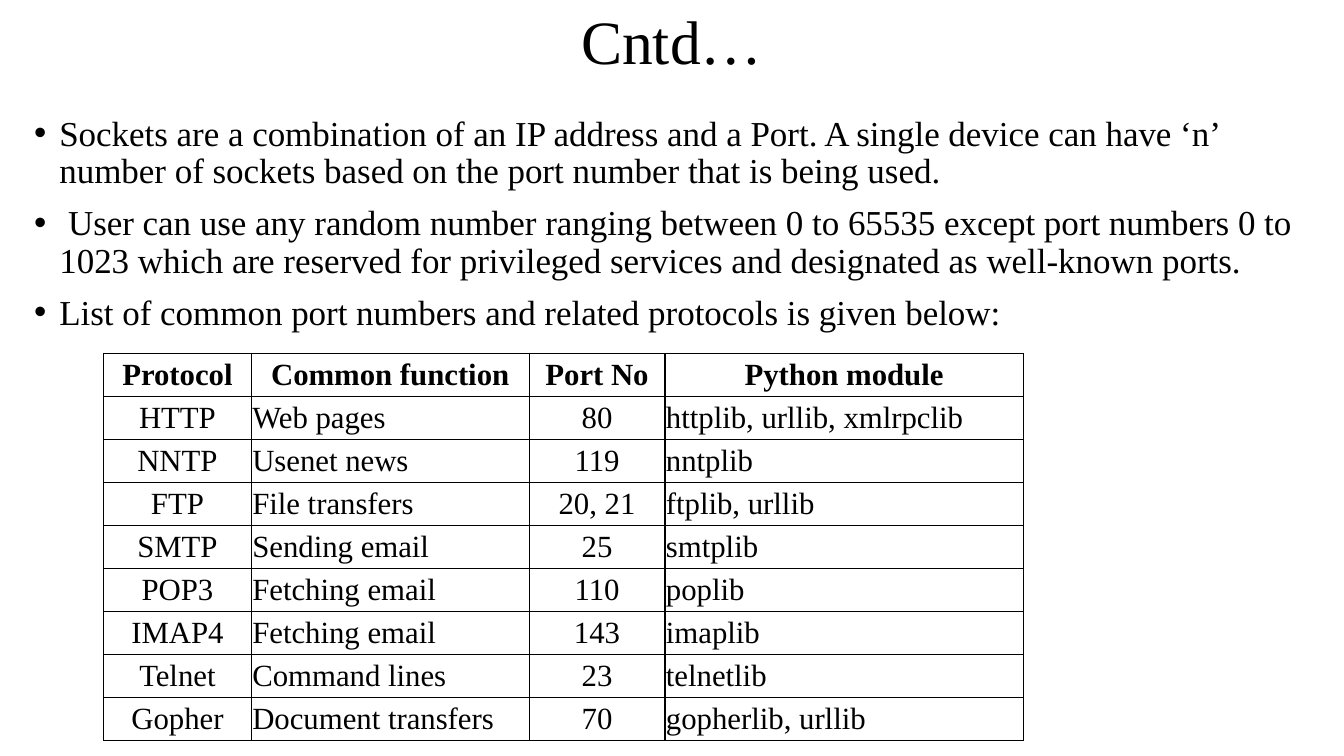
from lxml import etree
from pptx import Presentation
from pptx.dml.color import RGBColor
from pptx.enum.text import MSO_ANCHOR, MSO_AUTO_SIZE, PP_ALIGN
from pptx.oxml.ns import qn
from pptx.util import Pt

LEFT, CENTER = PP_ALIGN.LEFT, PP_ALIGN.CENTER
TOP, MIDDLE = MSO_ANCHOR.TOP, MSO_ANCHOR.MIDDLE
NO_FIT = MSO_AUTO_SIZE.NONE
FONT, BLACK, WHITE = "Times New Roman", "000000", "FFFFFF"
BORDERS = ("a:lnL", "a:lnR", "a:lnT", "a:lnB")

BULLETS = [
    "Sockets are a combination of an IP address and a Port. A single device can have ‘n’ "
    "number of sockets based on the port number that is being used.",
    " User can use any random number ranging between 0 to 65535 except port numbers 0 to "
    "1023 which are reserved for privileged services and designated as well-known ports.",
    "List of common port numbers and related protocols is given below:",
]
PORTS = [
    ("Protocol", "Common function", "Port No", "Python module"),
    ("HTTP", "Web pages", "80", "httplib, urllib, xmlrpclib"),
    ("NNTP", "Usenet news", "119", "nntplib"),
    ("FTP", "File transfers", "20, 21", "ftplib, urllib"),
    ("SMTP", "Sending email", "25", "smtplib"),
    ("POP3", "Fetching email", "110", "poplib"),
    ("IMAP4", "Fetching email", "143", "imaplib"),
    ("Telnet", "Command lines", "23", "telnetlib"),
    ("Gopher", "Document transfers", "70", "gopherlib, urllib"),
]
COLUMN_WIDTHS = (105.5, 198.5, 97, 256)
COLUMN_ALIGNS = (CENTER, LEFT, CENTER, LEFT)
ROW_HEIGHT = 30.72


def rgb(value):
    return RGBColor.from_string(value)


def assign(target, formats):
    for name, value in formats.items():
        setattr(target, name, value)


class SlideBuilder:
    def __init__(self, s, font, color):
        self.s, self.font, self.color = s, font, color

    def add_text(self, p, text, size, bold=False, **formats):
        assign(p, formats)
        r = p.add_run()
        r.text = text
        assign(r.font, {"name": self.font, "size": Pt(size), "bold": bold})
        r.font.color.rgb = rgb(self.color)

    def title(self, text, box, size):
        sp = self.s.shapes.title
        assign(sp, dict(zip(("left", "top", "width", "height"), map(Pt, box))))
        tf = sp.text_frame
        assign(tf, {"word_wrap": True, "auto_size": NO_FIT, "vertical_anchor": MIDDLE})
        self.add_text(tf.paragraphs[0], text, size, alignment=CENTER, line_spacing=0.9)

    def bullets(self, items, box, size, indent):
        tf = self.s.shapes.add_textbox(*map(Pt, box)).text_frame
        assign(tf, {"word_wrap": True, "auto_size": NO_FIT, "vertical_anchor": TOP})
        for i, text in enumerate(items):
            p = tf.add_paragraph() if i else tf.paragraphs[0]
            self.add_text(p, text, size, alignment=LEFT, line_spacing=0.9, space_before=Pt(10))
            pPr = p._p.get_or_add_pPr()
            pPr.set("marL", str(Pt(indent)))
            pPr.set("indent", str(-Pt(indent)))
            etree.SubElement(pPr, qn("a:buFont")).set("typeface", "Arial")
            etree.SubElement(pPr, qn("a:buChar")).set("char", "•")

    def borders(self, cell, width):
        tcPr = cell._tc.get_or_add_tcPr()
        for i, tag in enumerate(BORDERS):
            ln = etree.Element(qn(tag), w=str(Pt(width)))
            fill = etree.SubElement(ln, qn("a:solidFill"))
            etree.SubElement(fill, qn("a:srgbClr")).set("val", self.color)
            tcPr.insert(i, ln)

    def table(self, rows, left, top, widths, aligns, row_height, size):
        box = left, top, sum(widths), row_height * len(rows)
        table = self.s.shapes.add_table(len(rows), len(widths), *map(Pt, box)).table
        assign(table, {"first_row": False, "horz_banding": False})
        for column, width in zip(table.columns, widths):
            column.width = Pt(width)
        margins = dict.fromkeys(
            ("margin_left", "margin_right", "margin_top", "margin_bottom"), Pt(0.75))
        for i, row in enumerate(rows):
            table.rows[i].height = Pt(row_height)
            header = i == 0
            for j, text in enumerate(row):
                cell = table.cell(i, j)
                assign(cell, {**margins, "vertical_anchor": MIDDLE})
                cell.fill.solid()
                cell.fill.fore_color.rgb = rgb(WHITE)
                self.borders(cell, 1)
                self.add_text(cell.text_frame.paragraphs[0], text, size, header,
                              alignment=CENTER if header else aligns[j])


prs = Presentation()
prs.slide_width, prs.slide_height = Pt(960), Pt(540)
slide = SlideBuilder(prs.slides.add_slide(prs.slide_layouts[5]), FONT, BLACK)
slide.title("Cntd…", (66, 0, 828, 63.5), 44)
slide.bullets(BULLETS, (17.3, 79.2, 942.5, 386.6), 25, 18)
slide.table(PORTS, 74, 252.5, COLUMN_WIDTHS, COLUMN_ALIGNS, ROW_HEIGHT, 22)
prs.save("out.pptx")
